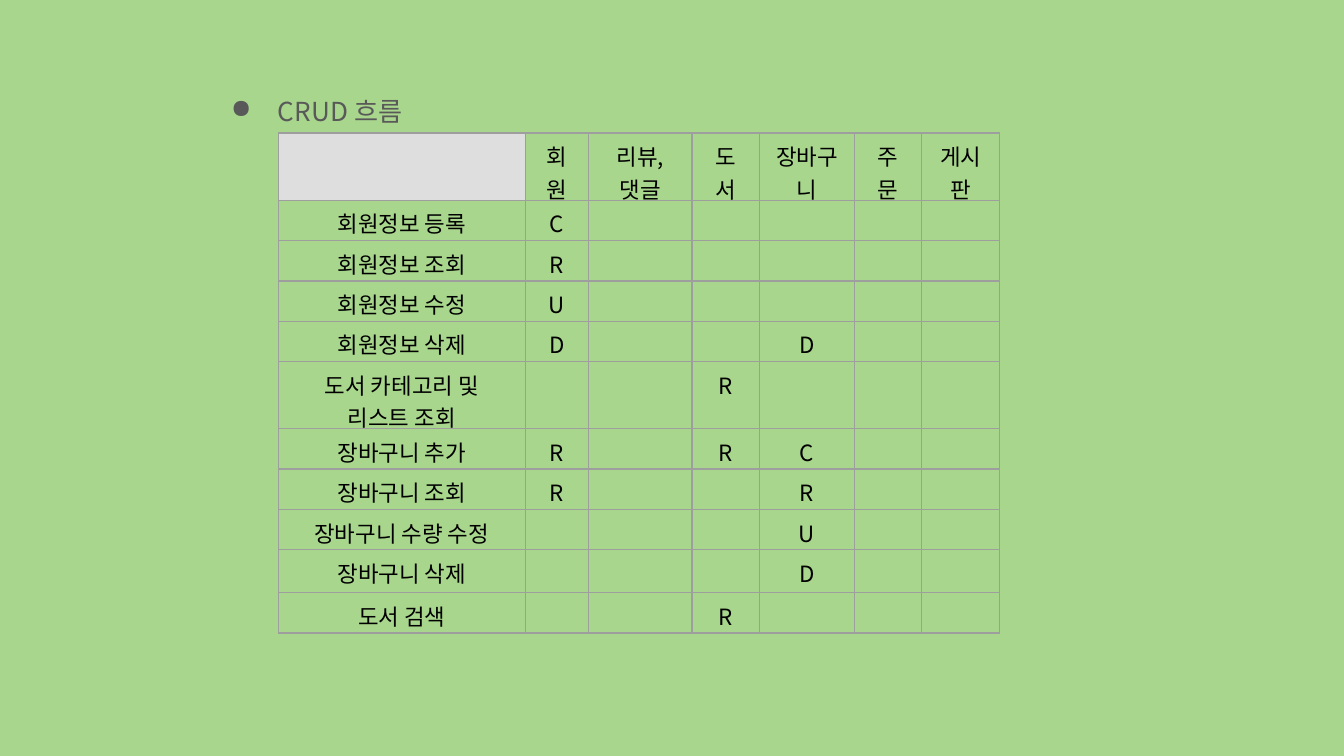
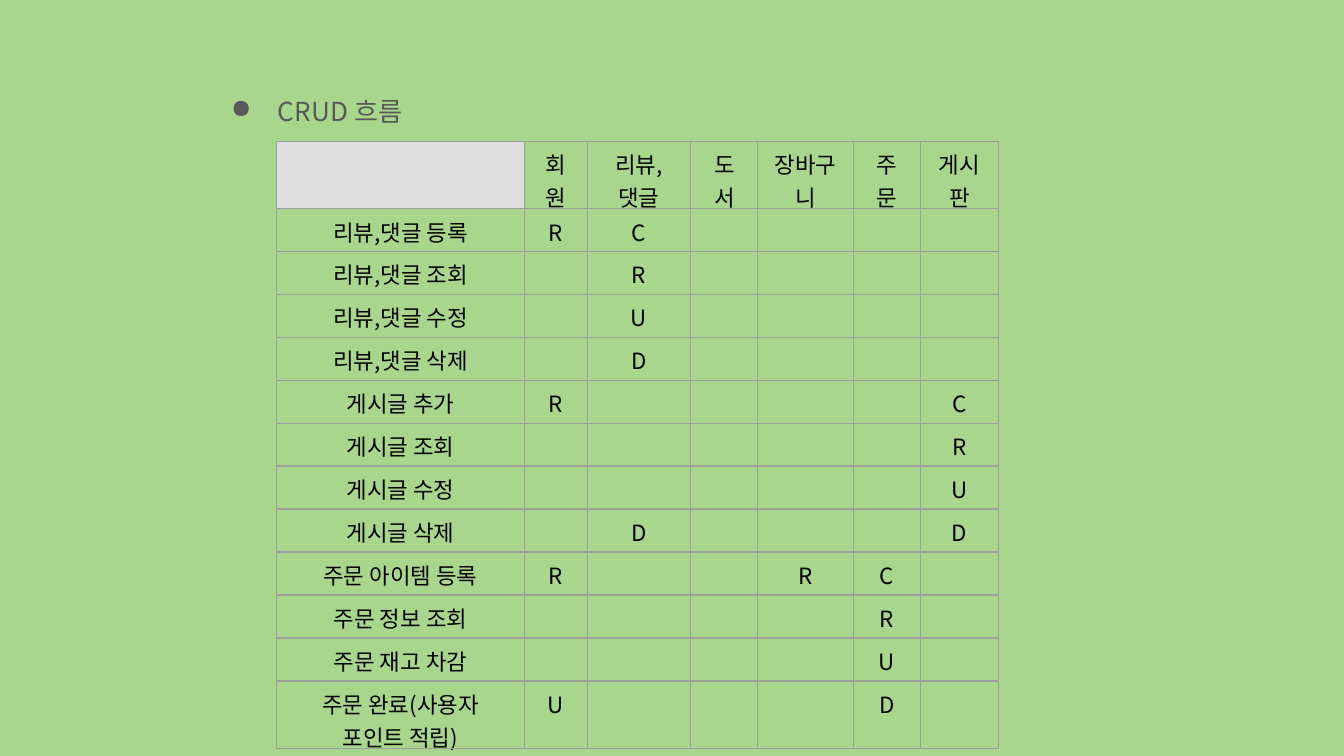
from dataclasses import dataclass

from lxml import etree
from pptx import Presentation
from pptx.dml.color import RGBColor
from pptx.enum.text import MSO_ANCHOR, PP_ALIGN
from pptx.oxml.ns import qn
from pptx.util import Inches, Length, Pt

CENTER = PP_ALIGN.CENTER
TOP = MSO_ANCHOR.TOP
BOTTOM = MSO_ANCHOR.BOTTOM

BACKGROUND = RGBColor(0xA8, 0xD6, 0x8C)
CORNER = RGBColor(0xDE, 0xDE, 0xDE)
BORDER = RGBColor(0x9E, 0x9E, 0x9E)
HEADING = RGBColor(0x59, 0x59, 0x59)
BLACK = RGBColor(0, 0, 0)
FONT = "Noto Sans CJK KR"
GRID_STYLE = "{5940675A-B579-460E-94D1-54222C63F5DA}"

GRID_STEP = 0.1
SLIDE_COLUMNS = 100
SLIDE_ROWS = 56.25
TABLE_COLUMNS = (18.4, 4.7, 7.7, 5, 7.1, 5, 5.8)
ENTITIES = ("회원", "리뷰, 댓글", "도서", "장바구니", "주문", "게시판")
TALL_ROW = 5


@dataclass(frozen=True)
class Action:
    label: str
    marks: str
    height: float


@dataclass(frozen=True)
class CrudTable:
    left: float
    top: float
    actions: tuple[Action, ...]


MEMBER_AND_CART = CrudTable(20.7, 9.9, (
    Action("회원정보 등록", "C-----", 3),
    Action("회원정보 조회", "R-----", 3),
    Action("회원정보 수정", "U-----", 3),
    Action("회원정보 삭제", "D--D--", 3),
    Action("도서 카테고리 및 리스트 조회", "--R---", TALL_ROW),
    Action("장바구니 추가", "R-RC--", 3),
    Action("장바구니 조회", "R--R--", 3),
    Action("장바구니 수량 수정", "---U--", 3),
    Action("장바구니 삭제", "---D--", 3.2),
    Action("도서 검색", "--R---", 3),
))
REVIEW_AND_ORDER = CrudTable(20.6, 10.5, (
    Action("리뷰,댓글 등록", "RC----", 3.2),
    Action("리뷰,댓글 조회", "-R----", 3.2),
    Action("리뷰,댓글 수정", "-U----", 3.2),
    Action("리뷰,댓글 삭제", "-D----", 3.2),
    Action("게시글 추가", "R----C", 3.2),
    Action("게시글 조회", "-----R", 3.2),
    Action("게시글 수정", "-----U", 3.2),
    Action("게시글 삭제", "-D---D", 3.2),
    Action("주문 아이템 등록", "R--RC-", 3.2),
    Action("주문 정보 조회", "----R-", 3.2),
    Action("주문 재고 차감", "----U-", 3.2),
    Action("주문 완료(사용자 포인트 적립)", "U---D-", TALL_ROW),
))


def grid(steps: float) -> Length:
    return Inches(steps * GRID_STEP)


def add_bullet(paragraph, color: RGBColor) -> None:
    properties = paragraph._p.get_or_add_pPr()
    properties.set("marL", str(grid(5)))
    properties.set("indent", str(grid(-3.5)))
    bullet_color = etree.SubElement(properties, qn("a:buClr"))
    etree.SubElement(bullet_color, qn("a:srgbClr"), val=str(color))
    etree.SubElement(properties, qn("a:buChar"), char="●")


def write_text(frame, text: str, *, size: float, color: RGBColor, bullet: bool = False) -> None:
    frame.word_wrap = True
    paragraph = frame.paragraphs[0]
    paragraph.alignment = CENTER
    if bullet:
        add_bullet(paragraph, color)
    if text:
        run = paragraph.add_run()
        run.text = text
        run.font.size = Pt(size)
        run.font.name = FONT
        run.font.color.rgb = color
        etree.SubElement(run.font._element, qn("a:ea"), typeface=FONT)
    etree.SubElement(paragraph._p, qn("a:endParaRPr"), sz=str(int(size * 100)))


def add_borders(cell) -> None:
    properties = cell._tc.get_or_add_tcPr()
    for position, side in enumerate(("lnL", "lnR", "lnT", "lnB")):
        line = etree.Element(qn(f"a:{side}"), w=str(Pt(0.75)))
        fill = etree.SubElement(line, qn("a:solidFill"))
        etree.SubElement(fill, qn("a:srgbClr"), val=str(BORDER))
        properties.insert(position, line)


def format_cell(cell, text: str, *, corner: bool) -> None:
    cell.margin_left = cell.margin_right = grid(1)
    cell.margin_top = grid(0.5)
    cell.margin_bottom = grid(-0.3)
    cell.vertical_anchor = TOP
    if corner:
        cell.fill.solid()
        cell.fill.fore_color.rgb = CORNER
    else:
        cell.fill.background()
    write_text(cell.text_frame, text, size=12, color=BLACK)
    add_borders(cell)


def add_heading(slide) -> None:
    box = slide.shapes.add_textbox(grid(14.2), grid(5.5), grid(17.2), grid(3.9))
    frame = box.text_frame
    frame.vertical_anchor = BOTTOM
    frame.margin_left = frame.margin_right = grid(1)
    frame.margin_top = frame.margin_bottom = 0
    write_text(frame, "CRUD 흐름", size=14, color=HEADING, bullet=True)


def add_crud_table(slide, crud: CrudTable) -> None:
    heights = [TALL_ROW] + [action.height for action in crud.actions]
    rows = [("", *ENTITIES)]
    rows += [(action.label, *action.marks) for action in crud.actions]
    frame = slide.shapes.add_table(
        len(rows), len(TABLE_COLUMNS), grid(crud.left), grid(crud.top),
        grid(sum(TABLE_COLUMNS)), grid(sum(heights)),
    )
    table = frame.table
    table.first_row = table.horz_banding = False
    table._tbl.tblPr.find(qn("a:tableStyleId")).text = GRID_STYLE
    for column, width in zip(table.columns, TABLE_COLUMNS):
        column.width = grid(width)
    for row_index, (values, height) in enumerate(zip(rows, heights)):
        table.rows[row_index].height = grid(height)
        for column_index, value in enumerate(values):
            format_cell(
                table.cell(row_index, column_index),
                "" if value == "-" else value,
                corner=row_index == column_index == 0,
            )


def add_crud_slide(presentation, crud: CrudTable) -> None:
    slide = presentation.slides.add_slide(presentation.slide_layouts[6])
    slide.background.fill.solid()
    slide.background.fill.fore_color.rgb = BACKGROUND
    add_heading(slide)
    add_crud_table(slide, crud)


def main() -> None:
    presentation = Presentation()
    presentation.slide_width = grid(SLIDE_COLUMNS)
    presentation.slide_height = grid(SLIDE_ROWS)
    for crud in (MEMBER_AND_CART, REVIEW_AND_ORDER):
        add_crud_slide(presentation, crud)
    presentation.save("out.pptx")


if __name__ == "__main__":
    main()
